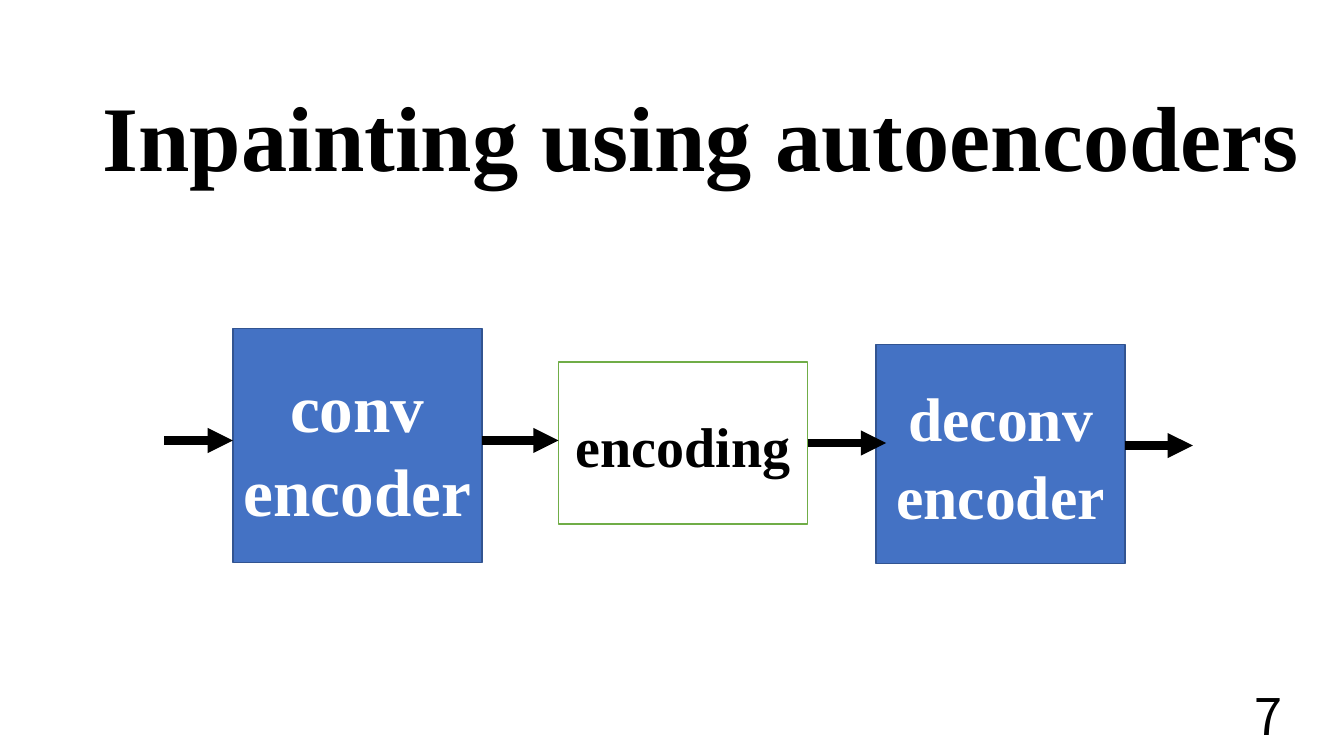
"""Build the slide on inpainting with an autoencoder pipeline."""
from dataclasses import dataclass

from lxml.etree import SubElement
from pptx import Presentation
from pptx.dml.color import RGBColor
from pptx.enum.shapes import MSO_CONNECTOR, MSO_SHAPE
from pptx.enum.text import MSO_ANCHOR, PP_ALIGN
from pptx.oxml.ns import qn
from pptx.util import Inches, Pt


@dataclass(frozen=True)
class Theme:
    heading_font: str = "Times New Roman"
    number_font: str = "Noto Sans CJK SC"
    black: str = "000000"
    white: str = "FFFFFF"
    blue: str = "4472C4"
    dark_blue: str = "325491"
    green: str = "70AD47"
    title_size: int = 66
    conv_size: int = 48
    deconv_size: int = 44
    encoding_size: int = 40
    number_size: int = 36


theme = Theme()


def write_text(shape, lines, font_name, size, color, bold, alignment, spacing):
    """Fill a shape with equally styled paragraphs."""
    frame = shape.text_frame
    frame.text = "\n".join(lines)
    for paragraph in frame.paragraphs:
        paragraph.alignment = alignment
        paragraph.line_spacing = spacing
        paragraph.font.name = font_name
        paragraph.font.size = Pt(size)
        paragraph.font.bold = bold
        paragraph.font.color.rgb = RGBColor.from_string(color)


presentation = Presentation()
presentation.slide_width = Inches(13.33)
presentation.slide_height = Inches(7.5)
slide = presentation.slides.add_slide(presentation.slide_layouts[6])

title = slide.shapes.add_textbox(Inches(0.92), Inches(0.4), Inches(12.17), Inches(2))
title.text_frame.word_wrap = True
title.text_frame.vertical_anchor = MSO_ANCHOR.MIDDLE
write_text(title, ["Inpainting using autoencoders"], theme.heading_font,
           theme.title_size, theme.black, True, PP_ALIGN.LEFT, 0.9)

blocks = [
    (["deconv", "encoder"], 8.69, 3.42, 2.17, theme.deconv_size,
     theme.blue, theme.dark_blue, theme.white),
    (["conv", "encoder"], 2.31, 3.26, 2.32, theme.conv_size,
     theme.blue, theme.dark_blue, theme.white),
    (["encoding"], 5.54, 3.59, 1.61, theme.encoding_size,
     theme.white, theme.green, theme.black),
]
for lines, left, top, height, size, fill, outline, color in blocks:
    block = slide.shapes.add_shape(MSO_SHAPE.RECTANGLE, Inches(left), Inches(top),
                                   Inches(2.47), Inches(height))
    block.shadow.inherit = False
    block.fill.solid()
    block.fill.fore_color.rgb = RGBColor.from_string(fill)
    block.line.color.rgb = RGBColor.from_string(outline)
    block.line.width = Pt(1)
    block.text_frame.word_wrap = True
    block.text_frame.vertical_anchor = MSO_ANCHOR.MIDDLE
    write_text(block, lines, theme.heading_font, size, color, True,
               PP_ALIGN.CENTER, 1.05)
encoding_block = block

arrows = [
    (1.63, 2.31, 4.37, None),
    (4.78, 5.54, 4.37, None),
    (8.01, 8.79, 4.39, encoding_block),
    (11.16, 11.83, 4.42, None),
]
for start, end, height, source in arrows:
    arrow = slide.shapes.add_connector(MSO_CONNECTOR.STRAIGHT, Inches(start),
                                       Inches(height), Inches(end), Inches(height))
    if source is not None:
        arrow.begin_connect(source, 3)
        arrow.end_y = arrow.begin_y
    arrow.line.color.rgb = RGBColor.from_string(theme.black)
    arrow.line.width = Pt(6)
    properties = arrow.element.spPr
    SubElement(properties.find(qn("a:ln")), qn("a:tailEnd"), type="triangle")
    SubElement(properties, qn("a:effectLst"))

number = slide.shapes.add_textbox(Inches(12.34), Inches(6.75), Inches(0.47), Inches(0.71))
number.text_frame.word_wrap = False
write_text(number, ["7"], theme.number_font, theme.number_size, theme.black,
           False, PP_ALIGN.RIGHT, 1.0)

presentation.save("out.pptx")
